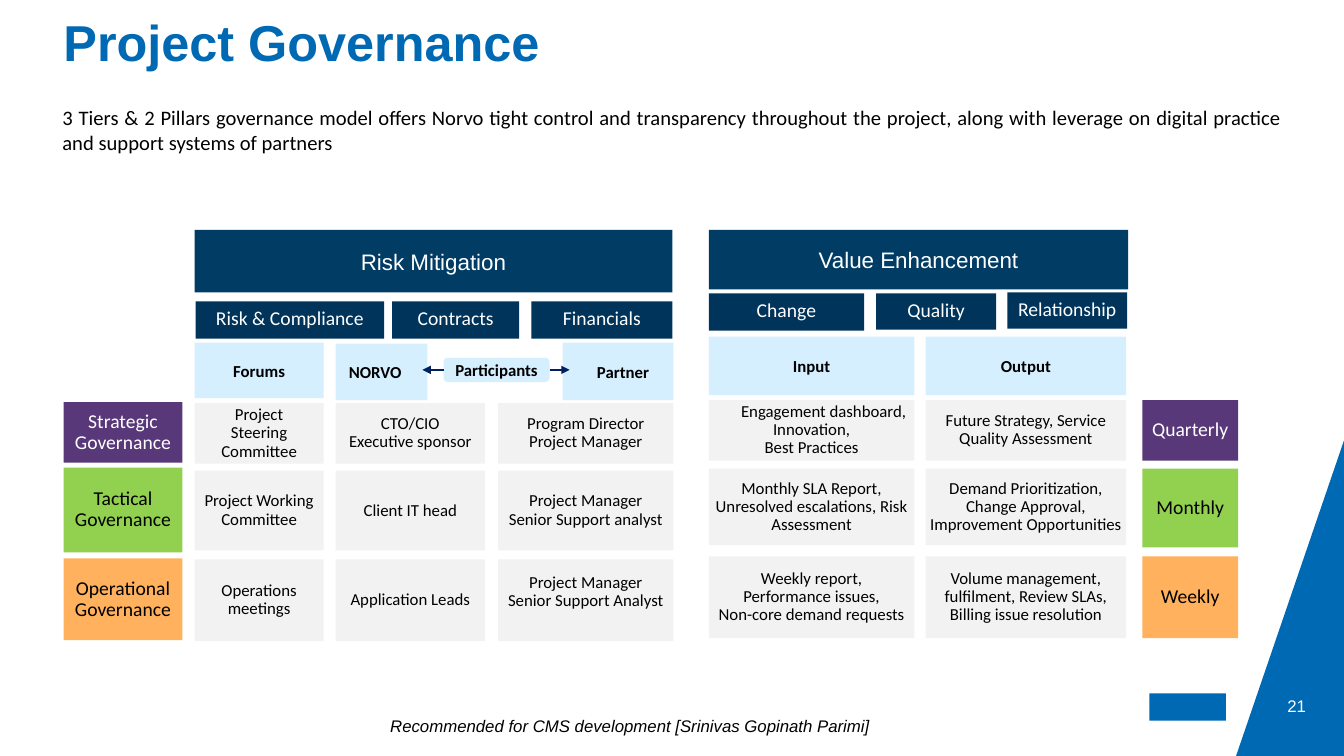
from lxml import etree
from pptx import Presentation
from pptx.dml.color import RGBColor
from pptx.enum import shapes, text
from pptx.oxml import ns
from pptx.util import Inches, Pt

BLUE, NAVY, DEEP, PALE, GREY = "0069B4", "003C64", "00345A", "D6EFFF", "F2F2F2"
PURPLE, GREEN, ORANGE = "583878", "92D050", "FFB15E"
BLACK, WHITE, ARROW = "000000", "FFFFFF", "002060"
LEFT, CENTER, JUSTIFY = text.PP_ALIGN.LEFT, text.PP_ALIGN.CENTER, text.PP_ALIGN.JUSTIFY
CELL_INSETS = (0.01, 0.01, 0.01, 0.01)

INTRO = ("3 Tiers & 2 Pillars governance model offers Norvo tight control and transparency "
         "throughout the project, along with leverage on digital practice and support "
         "systems of partners")
FOOTER = "Recommended for CMS development [Srinivas Gopinath Parimi]"

# (label, left, top, width, height)
PILLARS = [("Risk Mitigation", 1.93, 2.28, 4.74, 0.62),
           ("Value Enhancement", 7.03, 2.28, 4.16, 0.59)]
THEMES = [("Risk & Compliance", 1.94, 2.99, 1.87, 0.37),
          ("Contracts", 3.89, 2.99, 1.26, 0.37),
          ("Financials", 5.27, 2.99, 1.4, 0.37),
          ("Change", 7.03, 2.91, 1.54, 0.37),
          ("Quality", 8.69, 2.91, 1.19, 0.36),
          ("Relationship", 9.99, 2.9, 1.19, 0.36)]
HEADINGS = [("Forums", 1.93, 3.4, 1.28, 0.55),
            ("Input", 7.03, 3.34, 2.04, 0.58),
            ("Output", 9.18, 3.34, 1.99, 0.58)]

# (top, height) of the strategic, tactical and operational rows
TIER_ROWS = [(3.99, 0.6), (4.64, 0.84), (5.54, 0.81)]
RISK_ROWS = [(4, 0.6), (4.67, 0.79), (5.55, 0.81)]
VALUE_ROWS = [(3.97, 0.6), (4.65, 0.76), (5.52, 0.81)]
CYCLE_ROWS = [(3.97, 0.6), (4.65, 0.78), (5.52, 0.81)]
TIER_COLORS = [(PURPLE, WHITE), (GREEN, BLACK), (ORANGE, BLACK)]

# (left, width, rows, one list of lines per row)
TIER_COLUMNS = [
    (0.63, 1.18, TIER_ROWS, [["Strategic", "Governance"], ["Tactical", "Governance"],
                             ["Operational", "Governance"]]),
    (11.33, 0.95, CYCLE_ROWS, [["Quarterly"], ["Monthly"], ["Weekly"]]),
]
DETAIL_COLUMNS = [
    (1.93, 1.28, RISK_ROWS, [["Project", "Steering", "Committee"],
                             ["Project Working Committee"], ["Operations meetings"]]),
    (3.33, 1.48, RISK_ROWS, [["CTO/CIO", "Executive sponsor"],
                             ["Client IT head"], ["Application Leads"]]),
    (4.94, 1.74, RISK_ROWS, [["Program Director", "Project Manager"],
                             ["Project Manager", "Senior Support analyst"],
                             ["Project Manager", "Senior Support Analyst"]]),
    (7.03, 2.04, VALUE_ROWS, [["Engagement dashboard,", "Innovation,", "Best Practices"],
                              ["Monthly SLA Report, Unresolved escalations, Risk Assessment"],
                              ["Weekly report,", "Performance issues,",
                               "Non-core demand requests"]]),
    (9.18, 1.99, VALUE_ROWS, [["Future Strategy, Service", "Quality Assessment"],
                              ["Demand Prioritization, Change Approval, "
                               "Improvement Opportunities"],
                              ["Volume management, fulfilment, Review SLAs, "
                               "Billing issue resolution"]]),
]
LINE_INDENTS = {"Engagement dashboard,": 0.24}
RAISED_CELL = ["Project Manager", "Senior Support Analyst"]

presentation = Presentation()
presentation.slide_width, presentation.slide_height = Inches(13.33), Inches(7.5)
slide = presentation.slides.add_slide(presentation.slide_layouts[6])


def color(hex_string):
    return RGBColor.from_string(hex_string)


def paint(shape, fill):
    """Give a shape a flat fill with no outline or shadow."""
    shape.shadow.inherit = False
    shape.fill.solid()
    shape.fill.fore_color.rgb = color(fill)
    shape.line.fill.background()


def write(shape, lines, size, ink, font="Calibri", bold=False, italic=False, align=CENTER,
          spacing=1, insets=CELL_INSETS, anchor=text.MSO_ANCHOR.MIDDLE):
    frame = shape.text_frame
    frame.word_wrap = True
    frame.vertical_anchor = anchor
    frame.margin_left, frame.margin_top, frame.margin_right, frame.margin_bottom = map(
        Inches, insets)
    for index, line in enumerate(lines):
        paragraph = frame.add_paragraph() if index else frame.paragraphs[0]
        paragraph.alignment = align
        paragraph.line_spacing = spacing
        if line in LINE_INDENTS:
            properties = paragraph._p.get_or_add_pPr()
            properties.set("marL", str(Inches(LINE_INDENTS[line])))
            properties.set("indent", "0")
        run = paragraph.add_run()
        run.text = line
        run.font.name, run.font.size = font, Pt(size)
        run.font.bold, run.font.italic = bold, italic
        run.font.color.rgb = color(ink)


def add_box(lines, left, top, width, height, fill, size, ink, rounded=False, **style):
    kind = shapes.MSO_SHAPE.ROUNDED_RECTANGLE if rounded else shapes.MSO_SHAPE.RECTANGLE
    shape = slide.shapes.add_shape(kind, *map(Inches, (left, top, width, height)))
    paint(shape, fill)
    write(shape, lines, size, ink, **style)
    return shape


def add_label(lines, left, top, width, height, size, ink, **style):
    """Add text with no box behind it."""
    label = slide.shapes.add_textbox(*map(Inches, (left, top, width, height)))
    write(label, lines, size, ink, **style)


def add_arrow(source, site, start_x, end_x, y):
    """Draw a level arrow from a connection site of a shape."""
    connector = slide.shapes.add_connector(
        shapes.MSO_CONNECTOR.STRAIGHT, *map(Inches, (start_x, y, end_x, y)))
    connector.begin_connect(source, site)
    connector.line.color.rgb = color(ARROW)
    connector.line.width = Pt(1)
    etree.SubElement(connector.line._get_or_add_ln(), ns.qn("a:tailEnd"), type="triangle")
    etree.SubElement(connector._element.spPr, ns.qn("a:effectLst"))


# Page frame
builder = slide.shapes.build_freeform(Inches(12.26), Inches(7.5))
builder.add_line_segments([(Inches(x), Inches(y)) for x, y in [(13.33, 4.37), (13.33, 7.5)]])
paint(builder.convert_to_shape(), BLUE)
add_label(["21"], 12.39, 6.85, 0.94, 0.3, 12, WHITE, font="Arial")
logo_block = slide.shapes.add_shape(shapes.MSO_SHAPE.RECTANGLE,
                                    *map(Inches, (11.4, 6.88, 0.76, 0.27)))
paint(logo_block, BLUE)

add_label(["Project Governance"], 0.63, 0, 11.5, 0.8, 36, BLUE, font="Arial", bold=True,
          align=LEFT, spacing=0.9, insets=(0, 0, 0, 0.08), anchor=text.MSO_ANCHOR.BOTTOM)
add_label([INTRO], 0.52, 0.99, 12.29, 0.59, 14.7, BLACK, align=JUSTIFY,
          insets=(0.1, 0.05, 0.1, 0.05), anchor=text.MSO_ANCHOR.TOP)
add_label([FOOTER], 3.81, 7.07, 4.98, 0.37, 12, BLACK, font="Arial", italic=True, spacing=0.9,
          insets=(0, 0.05, 0.1, 0.05), anchor=text.MSO_ANCHOR.TOP)

# Pillars, themes and column headings
for name, *place in PILLARS:
    add_box([name], *place, NAVY, 16, WHITE, font="Arial", insets=(0, 0, 0, 0))
for name, *place in THEMES:
    add_box([name], *place, DEEP, 14, WHITE, spacing=0.8, insets=(0.03, 0.03, 0.03, 0.03))
for name, *place in HEADINGS:
    add_box([name], *place, PALE, 12, BLACK, bold=True)

# Participants heading
add_box(["NORVO"], 3.33, 3.41, 0.91, 0.56, PALE, 12, BLACK, bold=True, align=LEFT,
        insets=(0.13, 0.01, 0.01, 0.01))
add_box(["Partner"], 5.58, 3.4, 1.1, 0.57, PALE, 12, BLACK, bold=True,
        insets=(0.11, 0.01, 0.01, 0.01))
participants = add_box(["Participants"], 4.4, 3.55, 1.05, 0.24, PALE, 12, BLACK,
                       rounded=True, bold=True)
add_arrow(participants, 1, 4.4, 4.19, 3.67)
add_arrow(participants, 3, 5.45, 5.65, 3.67)

# Tiers with their cycles, then the details
for left, width, rows, cells in TIER_COLUMNS:
    for (top, height), lines, (fill, ink) in zip(rows, cells, TIER_COLORS):
        add_box(lines, left, top, width, height, fill, 14, ink, spacing=0.9)
for left, width, rows, cells in DETAIL_COLUMNS:
    for (top, height), lines in zip(rows, cells):
        insets = (0.01, 0.01, 0.01, 0.18) if lines == RAISED_CELL else CELL_INSETS
        add_box(lines, left, top, width, height, GREY, 12, BLACK, spacing=0.9, insets=insets)

presentation.save("out.pptx")
